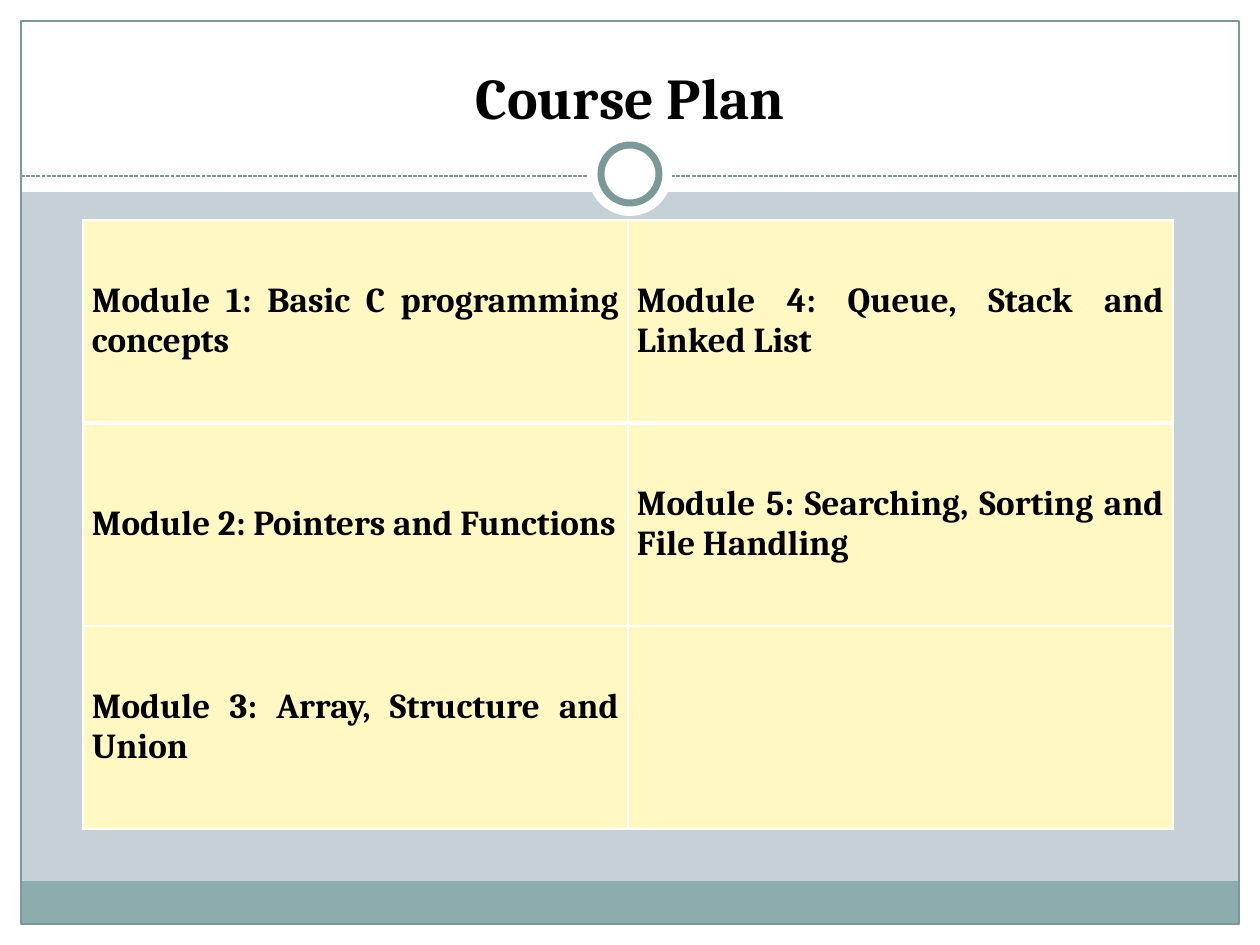
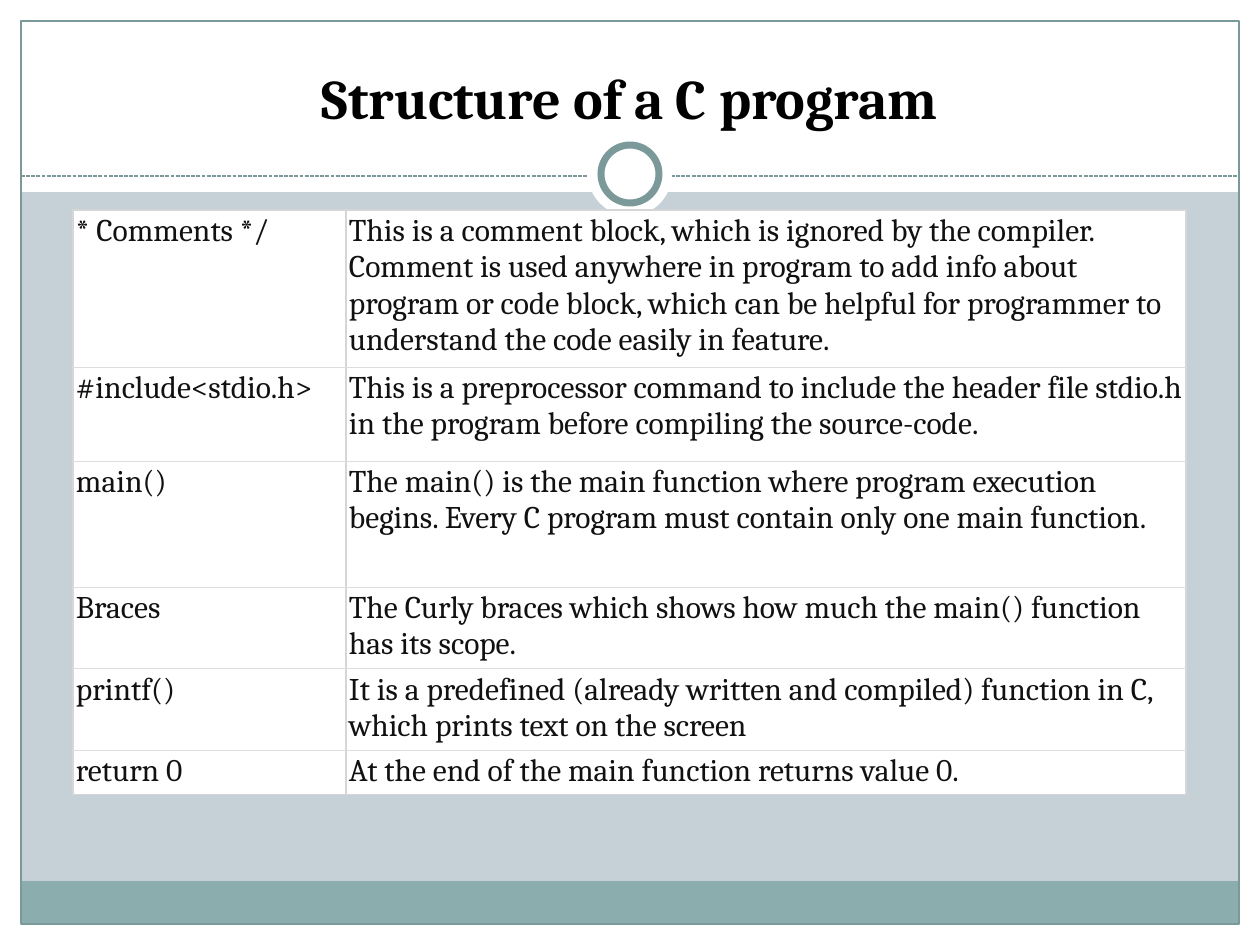
"""Build the two course slides: the module plan and the structure of a C program."""
from dataclasses import dataclass

from lxml import etree
from pptx import Presentation
from pptx import util as u
from pptx.dml.color import RGBColor
from pptx.enum import dml, shapes, text
from pptx.oxml.ns import qn

EMU_PER_PX = 914400 / 126
WIDTH, HEIGHT = 1260, 945
MARGIN = 21
HEADER_BOTTOM = 192


@dataclass(frozen=True)
class Theme:
    font: str = "Cambria"
    paper: str = "FFFFFF"
    backdrop: str = "C5D1D7"
    footer: str = "8CADAE"
    accent: str = "7C999A"
    title: str = "000000"
    module_fill: str = "FFF8C2"
    term_text: str = "111111"
    outer_rule: str = "D6D6D6"
    inner_rule: str = "DDDDDD"
    plan_title_size: int = 33
    program_title_size: int = 32
    module_size: int = 20
    term_size: int = 18


THEME = Theme()

MODULES = [
    ("Module 1: Basic C programming concepts", "Module 4: Queue, Stack and Linked List"),
    ("Module 2: Pointers and Functions", "Module 5: Searching, Sorting and File Handling"),
    ("Module 3: Array, Structure and Union", ""),
]

PROGRAM_PARTS = [
    ("* Comments */",
     "This is a comment block, which is ignored by the compiler. Comment is used anywhere "
     "in program to add info about program or code block, which can be helpful for "
     "programmer to understand the code easily in feature."),
    ("#include<stdio.h>",
     "This is a preprocessor command to include the header file stdio.h in the program "
     "before compiling the source-code."),
    ("main()",
     "The main() is the main function where program execution begins. Every C program "
     "must contain only one main function."),
    ("Braces",
     "The Curly braces which shows how much the main() function has its scope."),
    ("printf()",
     "It is a predefined (already written and compiled) function in C, which prints text "
     "on the screen"),
    ("return 0", "At the end of the main function returns value 0."),
]


def px(length):
    return u.Emu(round(length * EMU_PER_PX))


def rgb(colour):
    return RGBColor.from_string(colour)


def add_panel(slide, box, fill=None, line=None, weight=0.75, kind=shapes.MSO_SHAPE.RECTANGLE):
    panel = slide.shapes.add_shape(kind, *map(px, box))
    panel.shadow.inherit = False
    if fill:
        panel.fill.solid()
        panel.fill.fore_color.rgb = rgb(fill)
    else:
        panel.fill.background()
    if line:
        panel.line.color.rgb = rgb(line)
        panel.line.width = u.Pt(weight)
    else:
        panel.line.fill.background()


def add_dashed_rule(slide, y):
    rule = slide.shapes.add_connector(
        shapes.MSO_CONNECTOR.STRAIGHT, px(MARGIN), px(y), px(WIDTH - MARGIN), px(y))
    rule.line.color.rgb = rgb(THEME.accent)
    rule.line.width = u.Pt(0.75)
    rule.line.dash_style = dml.MSO_LINE.SQUARE_DOT
    etree.SubElement(rule.element.spPr, qn("a:effectLst"))


def add_ring(slide, centre_y):
    for diameter, line in ((84, None), (58, THEME.accent)):
        box = (WIDTH // 2 - diameter // 2, centre_y - diameter // 2, diameter, diameter)
        add_panel(slide, box, THEME.paper, line, 4, shapes.MSO_SHAPE.OVAL)


def style_paragraph(paragraph, wording, size, colour, bold, align):
    paragraph.text = wording
    paragraph.alignment = align
    paragraph.font.name = THEME.font
    paragraph.font.size = u.Pt(size)
    paragraph.font.bold = bold
    paragraph.font.color.rgb = rgb(colour)


def add_title(slide, wording, size):
    frame = slide.shapes.add_textbox(px(42), px(32), px(1176), px(105)).text_frame
    frame.word_wrap = True
    frame.vertical_anchor = text.MSO_ANCHOR.BOTTOM
    style_paragraph(frame.paragraphs[0], wording, size, THEME.title, True, text.PP_ALIGN.CENTER)


def add_framed_slide(deck, title, title_size):
    slide = deck.slides.add_slide(deck.slide_layouts[6])
    slide.background.fill.solid()
    slide.background.fill.fore_color.rgb = rgb(THEME.backdrop)
    bottom = HEIGHT - MARGIN
    for margin_box in ((0, bottom, WIDTH, MARGIN), (0, 0, WIDTH, HEADER_BOTTOM),
                       (0, 0, MARGIN, HEIGHT), (WIDTH - MARGIN, 0, MARGIN, HEIGHT)):
        add_panel(slide, margin_box, THEME.paper)
    inner_width = WIDTH - 2 * MARGIN
    add_panel(slide, (MARGIN, 881, inner_width, bottom - 881), THEME.footer)
    add_panel(slide, (MARGIN, MARGIN, inner_width, HEIGHT - 2 * MARGIN), line=THEME.accent)
    add_dashed_rule(slide, 176)
    add_ring(slide, 174)
    add_title(slide, title, title_size)
    return slide


def set_borders(cell, borders):
    properties = cell._tc.get_or_add_tcPr()
    for side in "LRTB":
        colour, weight = borders[side]
        edge = etree.SubElement(properties, qn(f"a:ln{side}"), w=str(u.Pt(weight)))
        fill = etree.SubElement(edge, qn("a:solidFill"))
        etree.SubElement(fill, qn("a:srgbClr"), val=colour)


def add_grid(slide, left, top, columns, heights, rows, fill, insets, anchor, borders_for, style):
    grid = slide.shapes.add_table(len(rows), len(columns), px(left), px(top),
                                  px(sum(columns)), px(sum(heights))).table
    grid.first_row = grid.horz_banding = False
    for column, width in zip(grid.columns, columns):
        column.width = px(width)
    for r, (wordings, height) in enumerate(zip(rows, heights)):
        grid.rows[r].height = px(height)
        for c, wording in enumerate(wordings):
            cell = grid.cell(r, c)
            set_borders(cell, borders_for(r))
            cell.fill.solid()
            cell.fill.fore_color.rgb = rgb(fill)
            cell.margin_left = cell.margin_right = px(insets[0])
            cell.margin_top = cell.margin_bottom = px(insets[1])
            cell.vertical_anchor = anchor
            style_paragraph(cell.text_frame.paragraphs[0], wording, *style)


def module_borders(row):
    borders = dict.fromkeys("LRTB", (THEME.paper, 1))
    if row == 0:
        borders["B"] = (THEME.paper, 3)
    elif row == 1:
        borders["T"] = (THEME.paper, 3)
    return borders


def part_borders(row):
    outer, inner = (THEME.outer_rule, 0.75), (THEME.inner_rule, 0.75)
    last = len(PROGRAM_PARTS) - 1
    return {"L": outer, "R": outer,
            "T": outer if row == 0 else inner,
            "B": outer if row == last else inner}


def main():
    deck = Presentation()
    deck.slide_width, deck.slide_height = px(WIDTH), px(HEIGHT)

    plan = add_framed_slide(deck, "Course Plan", THEME.plan_title_size)
    add_grid(plan, 83, 220, [545] * 2, [203] * 3, MODULES, THEME.module_fill, (9, 0),
             text.MSO_ANCHOR.MIDDLE, module_borders,
             (THEME.module_size, THEME.title, True, text.PP_ALIGN.JUSTIFY))

    program = add_framed_slide(deck, "Structure of a C program", THEME.program_title_size)
    add_grid(program, 73, 210, [273, 840], [157, 94, 126, 72, 72, 28], PROGRAM_PARTS,
             THEME.paper, (3, 3), text.MSO_ANCHOR.TOP, part_borders,
             (THEME.term_size, THEME.term_text, False, text.PP_ALIGN.LEFT))

    deck.save("out.pptx")


if __name__ == "__main__":
    main()
